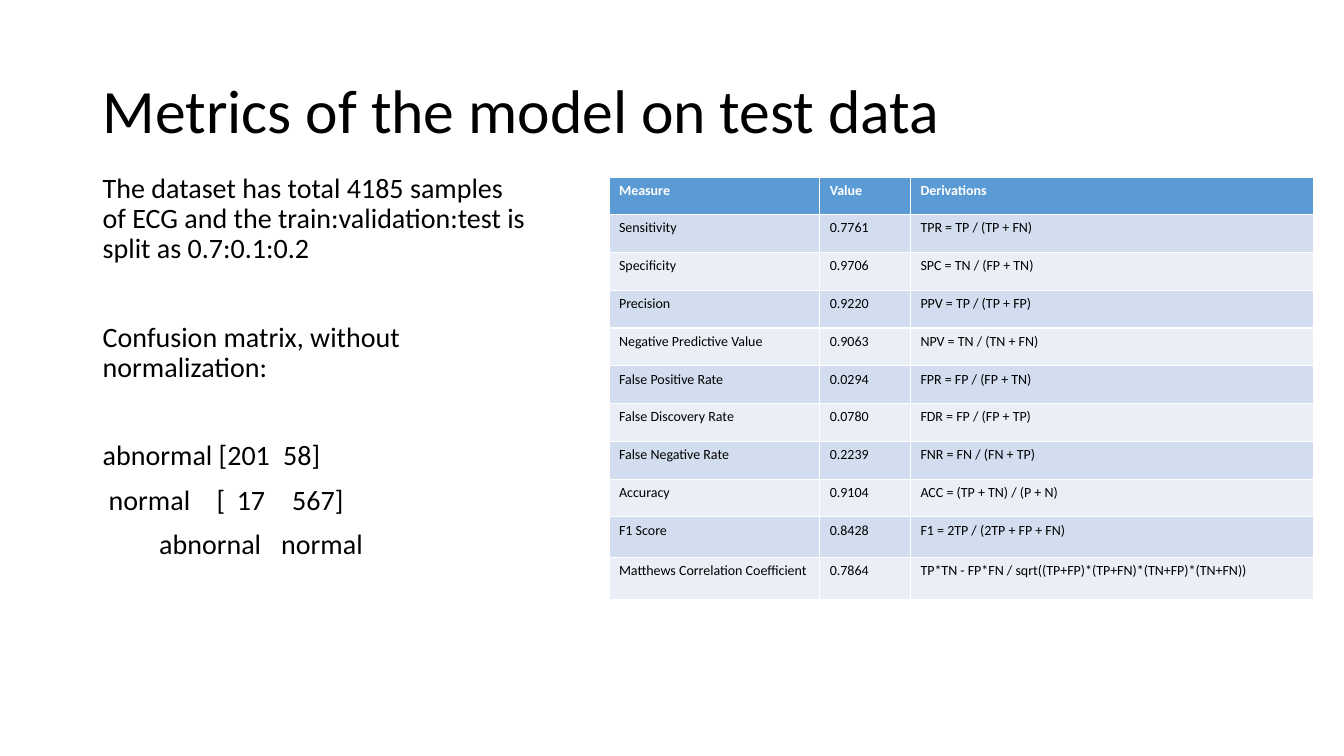
from dataclasses import dataclass

from lxml.etree import SubElement
from pptx import Presentation
from pptx.dml.color import RGBColor
from pptx.enum.text import MSO_ANCHOR
from pptx.oxml.ns import qn
from pptx.util import Inches, Pt


@dataclass(frozen=True)
class Theme:
    font: str = "Calibri"
    title_size: int = 44
    body_size: int = 20
    table_size: int = 10
    text: str = "000000"
    header_text: str = "FFFFFF"
    header_fill: str = "5B9BD5"
    odd_fill: str = "D2DEEF"
    even_fill: str = "EAEFF7"


theme = Theme()


def set_font(p, size, color=theme.text, bold=False):
    p.font.name = theme.font
    p.font.size = Pt(size)
    p.font.bold = bold
    p.font.color.rgb = RGBColor.from_string(color)


def set_tabs(p, stops):
    """Add left tab stops, given in inches from the text's left edge."""
    tabs = SubElement(p._p.get_or_add_pPr(), qn("a:tabLst"))
    for stop in stops:
        SubElement(tabs, qn("a:tab"), pos=str(Inches(stop)), algn="l")


prs = Presentation()
prs.slide_width, prs.slide_height = Inches(13.33), Inches(7.5)
s = prs.slides.add_slide(prs.slide_layouts[6])

# Title
tf = s.shapes.add_textbox(Inches(0.92), Inches(0.4), Inches(11.5), Inches(1.45)).text_frame
tf.word_wrap = True
tf.vertical_anchor = MSO_ANCHOR.MIDDLE
p = tf.paragraphs[0]
p.text = "Metrics of the model on test data"
p.line_spacing = 0.9
set_font(p, theme.title_size)

# Dataset notes and confusion matrix: text, space before (pt), tab stops
notes = [
    ("The dataset has total 4185 samples of ECG and the train:validation:test is "
     "split as 0.7:0.1:0.2", 0, []),
    ("Confusion matrix, without normalization:", 41.5, []),
    ("abnormal [201\t58]", 41.5, [1.79]),
    ("\tnormal\t[\t17\t567]", 10, [0.06, 1.13, 1.33, 1.88]),
    ("\tabnornal\tnormal", 10, [0.56, 1.77]),
]
tf = s.shapes.add_textbox(Inches(0.92), Inches(1.68), Inches(4.42), Inches(4.68)).text_frame
tf.word_wrap = True
for i, (text, space_before, stops) in enumerate(notes):
    p = tf.paragraphs[0] if i == 0 else tf.add_paragraph()
    p.text = text
    if stops:
        set_tabs(p, stops)
    p.line_spacing = 0.9
    p.space_before = Pt(space_before)
    set_font(p, theme.body_size)

# Metrics table
metrics = [
    ("Measure", "Value", "Derivations"),
    ("Sensitivity", "0.7761", "TPR = TP / (TP + FN)"),
    ("Specificity", "0.9706", "SPC = TN / (FP + TN)"),
    ("Precision", "0.9220", "PPV = TP / (TP + FP)"),
    ("Negative Predictive Value", "0.9063", "NPV = TN / (TN + FN)"),
    ("False Positive Rate", "0.0294", "FPR = FP / (FP + TN)"),
    ("False Discovery Rate", "0.0780", "FDR = FP / (FP + TP)"),
    ("False Negative Rate", "0.2239", "FNR = FN / (FN + TP)"),
    ("Accuracy", "0.9104", "ACC = (TP + TN) / (P + N)"),
    ("F1 Score", "0.8428", "F1 = 2TP / (2TP + FP + FN)"),
    ("Matthews Correlation Coefficient", "0.7864",
     "TP*TN - FP*FN / sqrt((TP+FP)*(TP+FN)*(TN+FP)*(TN+FN))"),
]
table_height, header_height, last_heights = 4.19, 0.37, [0.4, 0.42]
middle_height = (table_height - header_height - sum(last_heights)) / 8
row_heights = [header_height] + [middle_height] * 8 + last_heights

table = s.shapes.add_table(len(metrics), 3, Inches(6.04), Inches(1.76),
                           Inches(6.99), Inches(table_height)).table
for column, width in zip(table.columns, (2.09, 0.9, 4)):
    column.width = Inches(width)
for i, (values, height) in enumerate(zip(metrics, row_heights)):
    header = i == 0
    fill = theme.header_fill if header else theme.odd_fill if i % 2 else theme.even_fill
    table.rows[i].height = Inches(height)
    for cell, value in zip(table.rows[i].cells, values):
        cell.fill.solid()
        cell.fill.fore_color.rgb = RGBColor.from_string(fill)
        p = cell.text_frame.paragraphs[0]
        p.text = value
        set_font(p, theme.table_size, theme.header_text if header else theme.text, header)

prs.save("out.pptx")
